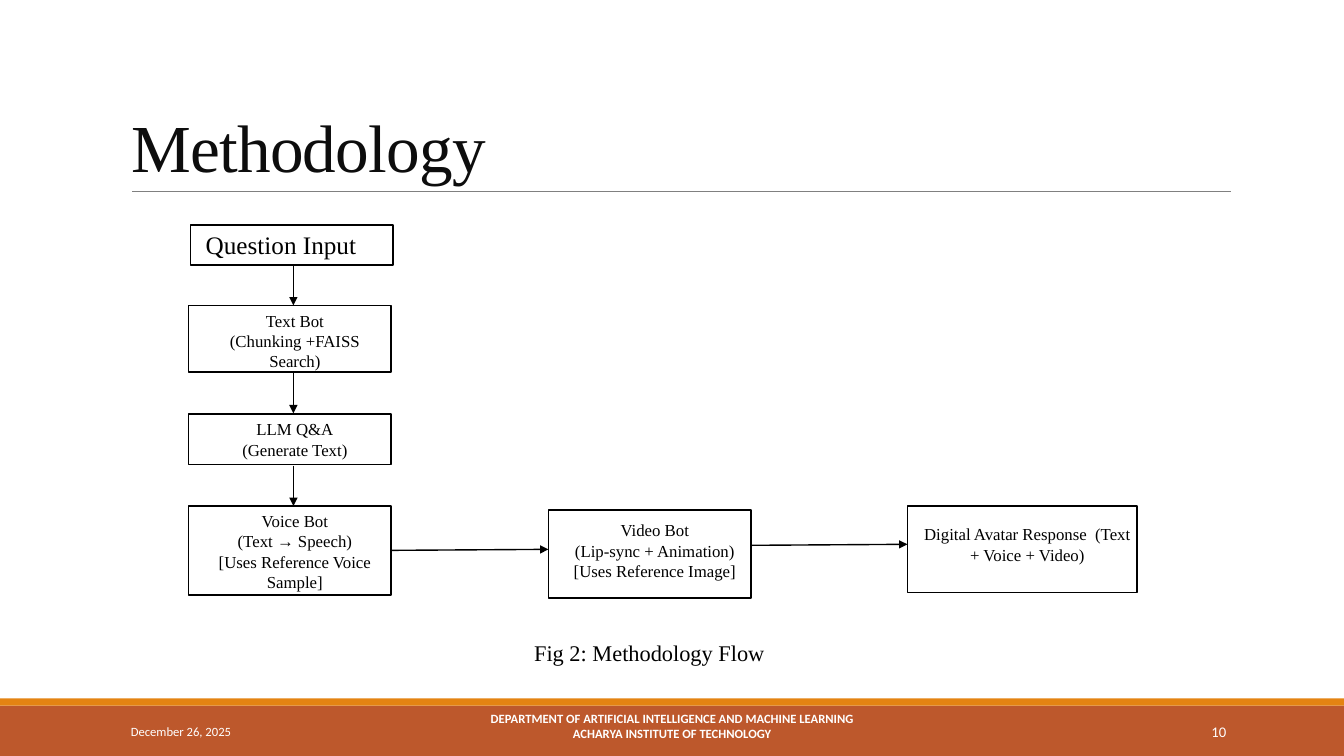
from dataclasses import dataclass

from pptx import Presentation
from pptx.dml.color import RGBColor
from pptx.enum.shapes import MSO_CONNECTOR, MSO_SHAPE
from pptx.enum.text import MSO_ANCHOR, PP_ALIGN
from pptx.oxml.ns import qn
from pptx.util import Inches, Pt

RECTANGLE = MSO_SHAPE.RECTANGLE
STRAIGHT = MSO_CONNECTOR.STRAIGHT
TOP, MIDDLE, BOTTOM = MSO_ANCHOR.TOP, MSO_ANCHOR.MIDDLE, MSO_ANCHOR.BOTTOM
LEFT, CENTER, RIGHT = PP_ALIGN.LEFT, PP_ALIGN.CENTER, PP_ALIGN.RIGHT


@dataclass(frozen=True)
class Theme:
    serif: str = "Times New Roman"
    sans: str = "Calibri"
    black: str = "000000"
    white: str = "FFFFFF"
    title_ink: str = "0D0D0D"
    rule: str = "808080"
    footer: str = "BD582C"
    accent: str = "E48312"
    title_size: float = 48
    input_size: float = 18
    caption_size: float = 16
    step_size: float = 12
    number_size: float = 10.5
    footer_size: float = 9


class FlowSlide:
    def __init__(self, slide, theme):
        self.slide = slide
        self.theme = theme

    def fill_text(self, frame, lines, size, font=None, color=None, bold=False,
                  align=CENTER, anchor=TOP, insets=(0.1, 0.05, 0.1, 0.05), wrap=True):
        """Fill a text frame; insets run left, top, right, bottom."""
        left, top, right, bottom = map(Inches, insets)
        frame_format = {"word_wrap": wrap, "vertical_anchor": anchor,
                        "margin_left": left, "margin_top": top,
                        "margin_right": right, "margin_bottom": bottom}
        for name, value in frame_format.items():
            setattr(frame, name, value)
        font_format = {"name": font or self.theme.serif, "size": Pt(size), "bold": bold}
        for index, line in enumerate(lines):
            paragraph = frame.add_paragraph() if index else frame.paragraphs[0]
            paragraph.alignment = align
            run = paragraph.add_run()
            run.text = line
            for name, value in font_format.items():
                setattr(run.font, name, value)
            run.font.color.rgb = RGBColor.from_string(color or self.theme.black)

    def title(self, text, box):
        holder = self.slide.shapes.title
        for name, value in zip(("left", "top", "width", "height"), box):
            setattr(holder, name, Inches(value))
        self.fill_text(holder.text_frame, [text], self.theme.title_size,
                       color=self.theme.title_ink, align=LEFT, anchor=BOTTOM)
        paragraph = holder.text_frame.paragraphs[0]
        paragraph.line_spacing = 0.85
        paragraph.runs[0].font._element.set("spc", "-50")

    def rectangle(self, box, fill, line=None):
        shape = self.slide.shapes.add_shape(RECTANGLE, *map(Inches, box))
        shape.shadow.inherit = False
        shape.fill.solid()
        shape.fill.fore_color.rgb = RGBColor.from_string(fill)
        if line:
            shape.line.color.rgb = RGBColor.from_string(line)
            shape.line.width = Pt(1.25)
        else:
            shape.line.fill.background()
        return shape

    def step(self, box, lines, size, align=CENTER, top_inset=0.05):
        shape = self.rectangle(box, self.theme.white, self.theme.black)
        self.fill_text(shape.text_frame, lines, size, align=align,
                       insets=(0.15, top_inset, 0.05, 0))

    def text(self, box, lines, size, **style):
        label = self.slide.shapes.add_textbox(*map(Inches, box))
        self.fill_text(label.text_frame, lines, size, **style)

    def line(self, start, end, color, width, arrow=False):
        connector = self.slide.shapes.add_connector(
            STRAIGHT, *map(Inches, (*start, *end)))
        connector.line.color.rgb = RGBColor.from_string(color)
        connector.line.width = Pt(width)
        properties = connector._element.spPr
        if arrow:
            stroke = properties.find(qn("a:ln"))
            stroke.append(stroke.makeelement(qn("a:tailEnd"), {"type": "triangle"}))
        properties.append(properties.makeelement(qn("a:effectLst"), {}))


def main():
    theme = Theme()
    deck = Presentation()
    deck.slide_width, deck.slide_height = Inches(13.33), Inches(7.5)
    page = FlowSlide(deck.slides.add_slide(deck.slide_layouts[5]), theme)

    page.rectangle((0, 7, 13.33, 0.5), theme.footer)
    page.rectangle((0, 6.93, 13.33, 0.07), theme.accent)
    page.line((1.31, 1.9), (12.21, 1.9), theme.rule, 0.5)
    page.title("Methodology", (1.2, 0.31, 11, 1.59))

    footer = {"font": theme.sans, "color": theme.white, "anchor": MIDDLE}
    page.text((1.2, 7.06, 2.7, 0.4), ["December 26, 2025"],
              theme.footer_size, align=LEFT, **footer)
    page.text((4.03, 7, 5.27, 0.4),
              ["DEPARTMENT OF ARTIFICIAL INTELLIGENCE AND MACHINE LEARNING",
               "ACHARYA INSTITUTE OF TECHNOLOGY"],
              theme.footer_size, bold=True, **footer)
    page.text((10.83, 7.06, 1.43, 0.4), ["10"],
              theme.number_size, align=RIGHT, **footer)

    page.step((1.89, 2.23, 2.01, 0.4), ["Question Input"], theme.input_size, align=LEFT)
    steps = [
        ((1.87, 3.03, 2.01, 0.66), 0.05, ["Text Bot", "(Chunking +FAISS Search)"]),
        ((1.87, 4.11, 2.01, 0.5), 0.05, ["LLM Q&A", "(Generate Text)"]),
        ((1.87, 5.02, 2.01, 0.88), 0.05,
         ["Voice Bot", "(Text → Speech)", "[Uses Reference Voice Sample]"]),
        ((5.44, 5.06, 2.01, 0.87), 0.1,
         ["Video Bot", "(Lip-sync + Animation)", "[Uses Reference Image]"]),
        ((9, 5.02, 2.28, 0.86), 0.18,
         ["Digital Avatar Response  (Text + Voice + Video)"]),
    ]
    for box, top_inset, lines in steps:
        page.step(box, lines, theme.step_size, top_inset=top_inset)

    down_arrows = [((2.91, top), (2.91, top + 0.4)) for top in (2.63, 3.7, 4.62)]
    across_arrows = [((3.88, 5.46), (5.44, 5.45)), ((7.45, 5.41), (9, 5.4))]
    for start, end in down_arrows + across_arrows:
        page.line(start, end, theme.black, 1, arrow=True)

    page.text((5.18, 6.29, 2.52, 0.37), ["Fig 2: Methodology Flow"],
              theme.caption_size, wrap=False)
    deck.save("out.pptx")


if __name__ == "__main__":
    main()
